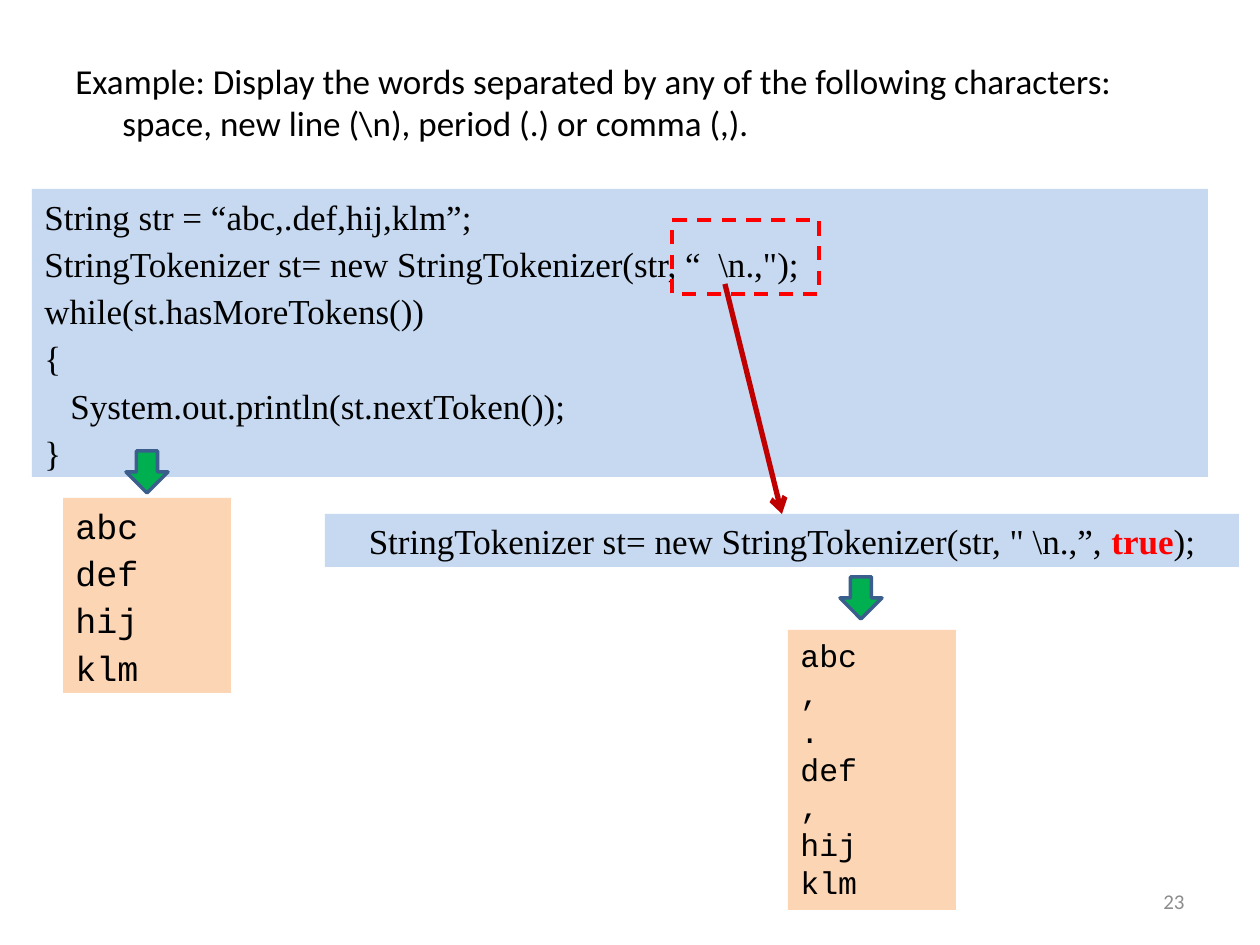
from pptx import Presentation
from pptx.util import Pt
from pptx.dml.color import RGBColor
from pptx.enum.shapes import MSO_SHAPE, MSO_CONNECTOR
from pptx.enum.text import PP_ALIGN, MSO_ANCHOR
from pptx.enum.dml import MSO_LINE
from pptx.oxml.ns import qn
from lxml import etree

RECT, DOWN = MSO_SHAPE.RECTANGLE, MSO_SHAPE.DOWN_ARROW
LEFT, MID, RIGHT = PP_ALIGN.LEFT, PP_ALIGN.CENTER, PP_ALIGN.RIGHT
TOP, CENTER = MSO_ANCHOR.TOP, MSO_ANCHOR.MIDDLE
DASH = MSO_LINE.DASH
PX = 914400 // 126
HEX = {"black": "000000", "gray": "8C8C8C", "blue": "C6D9F1", "peach": "FCD5B5",
       "green": "00B050", "edge": "3A5F8C", "red": "FF0000", "dark": "C00000"}
RGB = {name: RGBColor.from_string(code) for name, code in HEX.items()}

deck = Presentation()
deck.slide_width, deck.slide_height = 1260 * PX, 945 * PX
slide = deck.slides.add_slide(deck.slide_layouts[6])
shapes = slide.shapes


def add_box(kind, at, fill=None, line=None, width=2):
    box = shapes.add_shape(kind, *[n * PX for n in at])
    box.shadow.inherit = False
    if fill:
        box.fill.solid()
        box.fill.fore_color.rgb = RGB[fill]
    else:
        box.fill.background()
    if line:
        box.line.color.rgb = RGB[line]
        box.line.width = Pt(width)
    else:
        box.line.fill.background()
    return box


def write(box, rows, font, size, color="black", align=LEFT, anchor=TOP, after=0):
    frame = box.text_frame
    frame.word_wrap = True
    frame.vertical_anchor = anchor
    for i, row in enumerate(rows):
        para = frame.paragraphs[0] if i == 0 else frame.add_paragraph()
        para.alignment = align
        para.space_after = Pt(after)
        for text, extra in row:
            run = para.add_run()
            run.text = text
            look = {"name": font, "size": Pt(size), "bold": False, **extra}
            for key, value in look.items():
                setattr(run.font, key, value)
            run.font.color.rgb = RGB["red" if extra else color]
    return frame.paragraphs


# Heading with a hanging indent, and the page number
head = shapes.add_textbox(63 * PX, 53 * PX, 1071 * PX, 116 * PX)
task = ("Example: Display the words separated by any of the following characters: "
        "space, new line (\\n), period (.) or comma (,).")
paras = write(head, [[(task, {})]], "Calibri", 20)
props = paras[0]._p.get_or_add_pPr()
props.set("marL", str(47 * PX))
props.set("indent", str(-47 * PX))

page = shapes.add_textbox(903 * PX, 876 * PX, 294 * PX, 50 * PX)
write(page, [[("23", {})]], "Calibri", 12, "gray", RIGHT, CENTER)

# Main code
code = ["String str = “abc,.def,hij,klm”;",
        "StringTokenizer st= new StringTokenizer(str, “  \\n.,\"); ",
        "while(st.hasMoreTokens())", "{",
        "System.out.println(st.nextToken());", "}"]
box = add_box(RECT, (32, 189, 1176, 288), "blue")
paras = write(box, [[(row, {})] for row in code], "Times New Roman", 20, after=3)
paras[4]._p.get_or_add_pPr().set("marL", str(26 * PX))

# Variant that also returns the delimiters
box = add_box(RECT, (325, 514, 914, 53), "blue")
call = [("StringTokenizer st= new StringTokenizer(str, \" \\n.,”, ", {}),
        ("true", {"bold": True}), (");", {})]
write(box, [call], "Times New Roman", 20, align=MID, anchor=CENTER)

# Arrow from the delimiters to the variant
link = shapes.add_connector(MSO_CONNECTOR.STRAIGHT,
                            725 * PX, 284 * PX, 782 * PX, 514 * PX)
link.line.color.rgb = RGB["dark"]
link.line.width = Pt(3)
etree.SubElement(link.line._get_or_add_ln(), qn("a:tailEnd"), type="arrow")
etree.SubElement(link._element.spPr, qn("a:effectLst"))

# Outputs, each below a block arrow
for at, words, size, after, tip in [
        ((63, 498, 168, 195), "abc def hij klm", 20, 3, (126, 451)),
        ((788, 630, 168, 280), "abc , . def , hij klm", 18, 0, (840, 577))]:
    box = add_box(RECT, at, "peach")
    rows = [[(word, {})] for word in words.split()]
    write(box, rows, "Courier New", size, after=after)
    add_box(DOWN, (*tip, 42, 42), "green", "edge")

# Dashed frame round the delimiters
frame = add_box(RECT, (672, 220, 147, 74), line="red")
frame.line.dash_style = DASH

deck.save("out.pptx")
